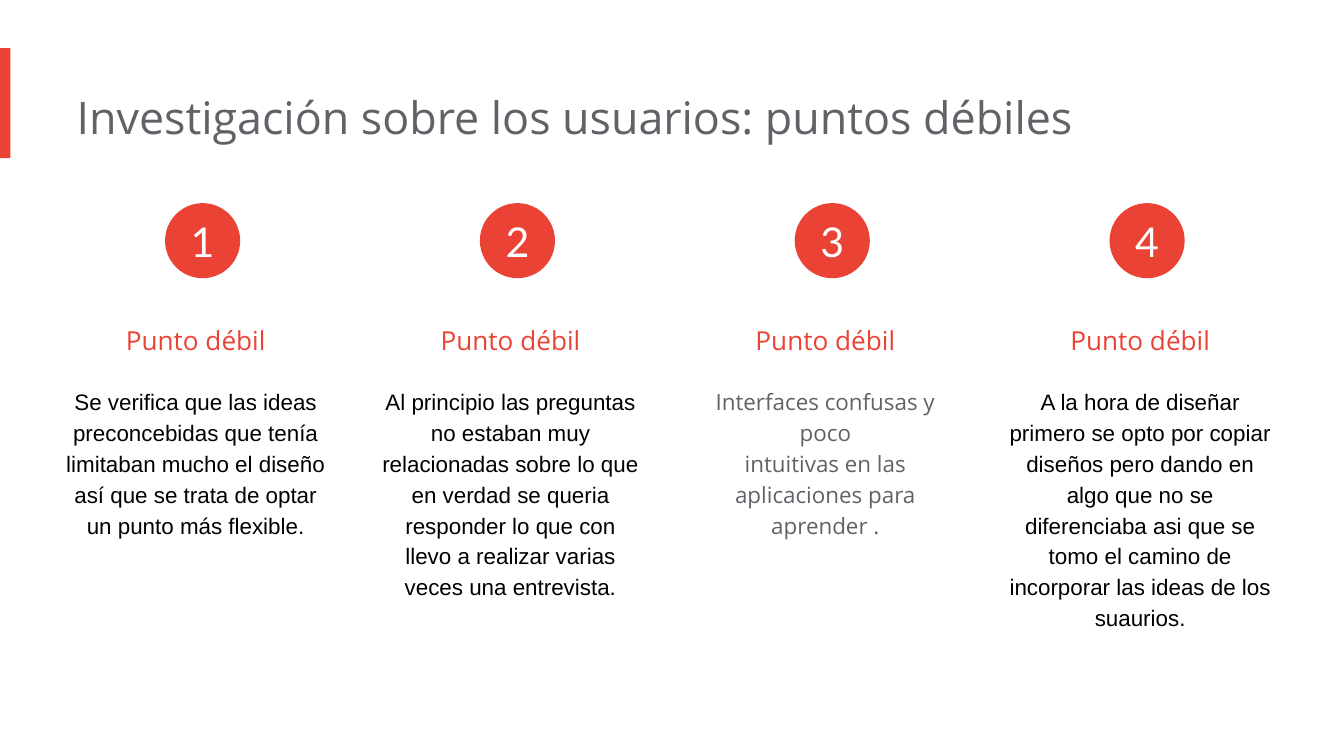
"""Builds a slide with four numbered user pain points."""
from pptx import Presentation
from pptx.dml.color import RGBColor
from pptx.enum.shapes import MSO_SHAPE
from pptx.enum.text import MSO_ANCHOR, MSO_AUTO_SIZE, PP_ALIGN
from pptx.util import Cm, Pt

RECT, OVAL = MSO_SHAPE.RECTANGLE, MSO_SHAPE.OVAL
TOP, MIDDLE = MSO_ANCHOR.TOP, MSO_ANCHOR.MIDDLE
LEFT, CENTER = PP_ALIGN.LEFT, PP_ALIGN.CENTER
GROW = MSO_AUTO_SIZE.SHAPE_TO_FIT_TEXT

RED = RGBColor(0xEA, 0x43, 0x35)
GREY = RGBColor(0x5F, 0x63, 0x68)
BLACK = RGBColor(0, 0, 0)
WHITE = RGBColor(255, 255, 255)

TITLE = "Investigación sobre los usuarios: puntos débiles"
HEADING = "Punto débil"
POINTS = [
    (["Se verifica que las ideas preconcebidas que tenía limitaban mucho "
      "el diseño así que se trata de optar un punto más flexible."],
     "Arial", BLACK, 3.45),
    (["Al principio las preguntas no estaban muy relacionadas sobre lo que "
      "en verdad se queria responder lo que con llevo a realizar varias "
      "veces una entrevista."],
     "Arial", BLACK, 4.65),
    (["Interfaces confusas y poco", "intuitivas en las",
      "aplicaciones para aprender ."],
     "Open Sans", GREY, 3.45),
    (["A la hora de diseñar primero se opto por copiar diseños pero dando "
      "en algo que no se diferenciaba asi que se tomo el camino de "
      "incorporar las ideas de los suaurios."],
     "Arial", BLACK, 5.23),
]

COLUMN_LEFT, COLUMN_STEP, COLUMN_WIDTH = 1.22, 5.95, 5.21
CIRCLE_OFFSET, CIRCLE_SIZE = 1.9, 1.42
INSET = 0.25


def write(tf, lines, font, size, color, align=CENTER, spacing=1.0):
    for i, line in enumerate(lines):
        p = tf.add_paragraph() if i else tf.paragraphs[0]
        p.alignment, p.line_spacing = align, spacing
        r = p.add_run()
        r.text = line
        r.font.name, r.font.size = font, Pt(size)
        r.font.color.rgb = color


def set_frame(tf, left=0, others=INSET, anchor=TOP):
    tf.word_wrap = True
    tf.vertical_anchor = anchor
    tf.margin_left = Cm(left)
    tf.margin_top = tf.margin_right = tf.margin_bottom = Cm(others)


def add_text(s, left, top, height, *style, spacing):
    sp = s.shapes.add_textbox(Cm(left), Cm(top), Cm(COLUMN_WIDTH), Cm(height))
    set_frame(sp.text_frame)
    sp.text_frame.auto_size = GROW
    write(sp.text_frame, *style, spacing=spacing)


def add_red_shape(s, kind, left, top, width, height):
    sp = s.shapes.add_shape(kind, Cm(left), Cm(top), Cm(width), Cm(height))
    sp.shadow.inherit = False
    sp.fill.solid()
    sp.fill.fore_color.rgb = RED
    sp.line.fill.background()
    return sp


def main():
    prs = Presentation()
    prs.slide_width, prs.slide_height = Cm(25.4), Cm(14.29)
    s = prs.slides.add_slide(prs.slide_layouts[5])
    add_red_shape(s, RECT, 0, 0.91, 0.2, 2.08)

    title = s.shapes.title
    title.left, title.top = Cm(1.45), Cm(1.45)
    title.width, title.height = Cm(19.71), Cm(1.55)
    set_frame(title.text_frame)
    title.text_frame.auto_size = GROW
    write(title.text_frame, [TITLE], "Open Sans", 24, GREY, LEFT)

    for i, (lines, font, color, height) in enumerate(POINTS):
        left = COLUMN_LEFT + i * COLUMN_STEP
        add_text(s, left, 5.59, 1.12, [HEADING], "Open Sans", 14, RED,
                 spacing=1.5)
        add_text(s, left, 7.01, height, lines, font, 12, color, spacing=1.15)
        circle = add_red_shape(s, OVAL, left + CIRCLE_OFFSET, 3.84,
                               CIRCLE_SIZE, CIRCLE_SIZE)
        set_frame(circle.text_frame, others=0, anchor=MIDDLE)
        write(circle.text_frame, [str(i + 1)], "Lato", 22, WHITE)

    prs.save("out.pptx")


if __name__ == "__main__":
    main()
